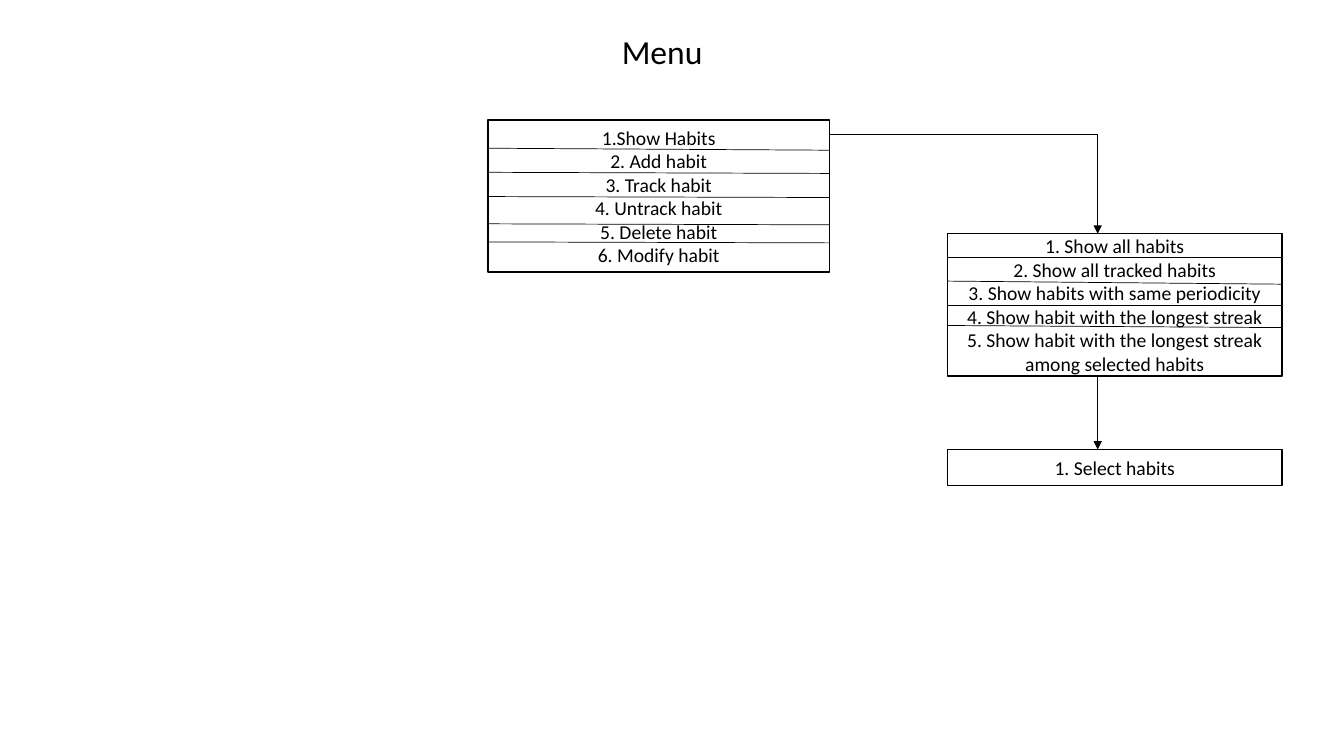
from lxml.etree import SubElement
from pptx import Presentation
from pptx.dml.color import RGBColor
from pptx.enum.shapes import MSO_CONNECTOR as Connector, MSO_SHAPE as Shape
from pptx.enum.text import MSO_ANCHOR as Anchor, PP_ALIGN as Align
from pptx.oxml.ns import qn
from pptx.util import Pt

BLACK = RGBColor(0, 0, 0)
WHITE = RGBColor(255, 255, 255)
FONT = "Calibri"

TITLE_BOX = (113, 21.6, 720, 130.3)
MENU_BOX = (348.5, 85.7, 244.1, 108.7)
SHOW_BOX = (676.8, 167, 239, 101.5)
SELECT_BOX = (676.8, 321.1, 239, 25.9)
ARROW_X = 784.1
BRANCH_Y = 95.8

MENU_ITEMS = ["1.Show Habits", "2. Add habit", "3. Track habit",
              "4. Untrack habit", "5. Delete habit", "6. Modify habit"]
MENU_DIVIDERS = [(20.2, 21.6), (37.4, 38.2), (54.7, 55.4), (74.2, 74.9), (87.1, 87.8)]
SHOW_ITEMS = ["1. Show all habits", "2. Show all tracked habits",
              "3. Show habits with same periodicity",
              "4. Show habit with the longest streak",
              "5. Show habit with the longest streak among selected habits"]
SHOW_DIVIDERS = [(16.6, 16.6), (33.8, 36), (51.1, 51.1), (65.5, 67)]
SELECT_ITEMS = ["1. Select habits"]


def write_text(text_frame, lines, size):
    text_frame.word_wrap = True
    text_frame.text = "\n".join(lines)
    for paragraph in text_frame.paragraphs:
        paragraph.alignment = Align.CENTER
        for run in paragraph.runs:
            run.font.name = FONT
            run.font.size = Pt(size)
            run.font.color.rgb = BLACK


def add_line(slide, start, end, arrow=False):
    connector = slide.shapes.add_connector(
        Connector.STRAIGHT, *(Pt(value) for value in (*start, *end)))
    connector.line.color.rgb = BLACK
    connector.line.width = Pt(0.5)
    if arrow:
        SubElement(connector.line._get_or_add_ln(), qn("a:tailEnd"), type="triangle")
    SubElement(connector._element.spPr, qn("a:effectLst"))


def add_title(slide, box, title):
    text_frame = slide.shapes.add_textbox(*map(Pt, box)).text_frame
    write_text(text_frame, [title], 24)
    text_frame.paragraphs[0].line_spacing = 0.9
    text_frame.paragraphs[0].space_before = Pt(10)


def add_menu(slide, box, items, dividers=()):
    left, top, width, height = box
    shape = slide.shapes.add_shape(Shape.RECTANGLE, *map(Pt, box))
    shape.shadow.inherit = False
    shape.fill.solid()
    shape.fill.fore_color.rgb = WHITE
    shape.line.color.rgb = BLACK
    shape.line.width = Pt(1)
    shape.text_frame.vertical_anchor = Anchor.MIDDLE
    write_text(shape.text_frame, items, 14)
    for left_drop, right_drop in dividers:
        add_line(slide, (left, top + left_drop), (left + width, top + right_drop))


def add_flow(slide, menu_box, show_box, select_box):
    menu_right = menu_box[0] + menu_box[2]
    show_bottom = show_box[1] + show_box[3]
    add_line(slide, (menu_right, BRANCH_Y), (ARROW_X, BRANCH_Y))
    add_line(slide, (ARROW_X, BRANCH_Y), (ARROW_X, show_box[1]), arrow=True)
    add_line(slide, (ARROW_X, show_bottom), (ARROW_X, select_box[1]), arrow=True)


presentation = Presentation()
presentation.slide_width = Pt(960)
presentation.slide_height = Pt(540)
slide = presentation.slides.add_slide(presentation.slide_layouts[6])

add_title(slide, TITLE_BOX, "Menu")
add_menu(slide, SHOW_BOX, SHOW_ITEMS, SHOW_DIVIDERS)
add_menu(slide, MENU_BOX, MENU_ITEMS, MENU_DIVIDERS)
add_menu(slide, SELECT_BOX, SELECT_ITEMS)
add_flow(slide, MENU_BOX, SHOW_BOX, SELECT_BOX)

presentation.save("out.pptx")
